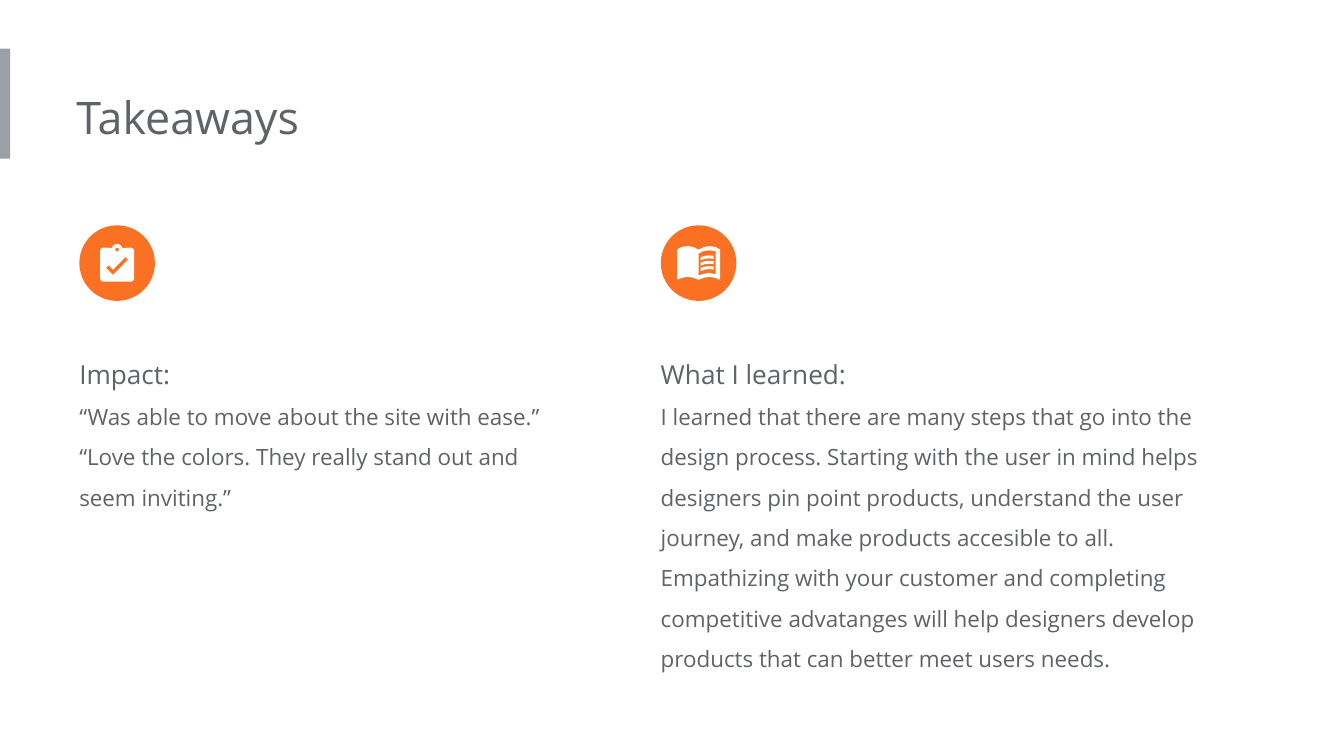
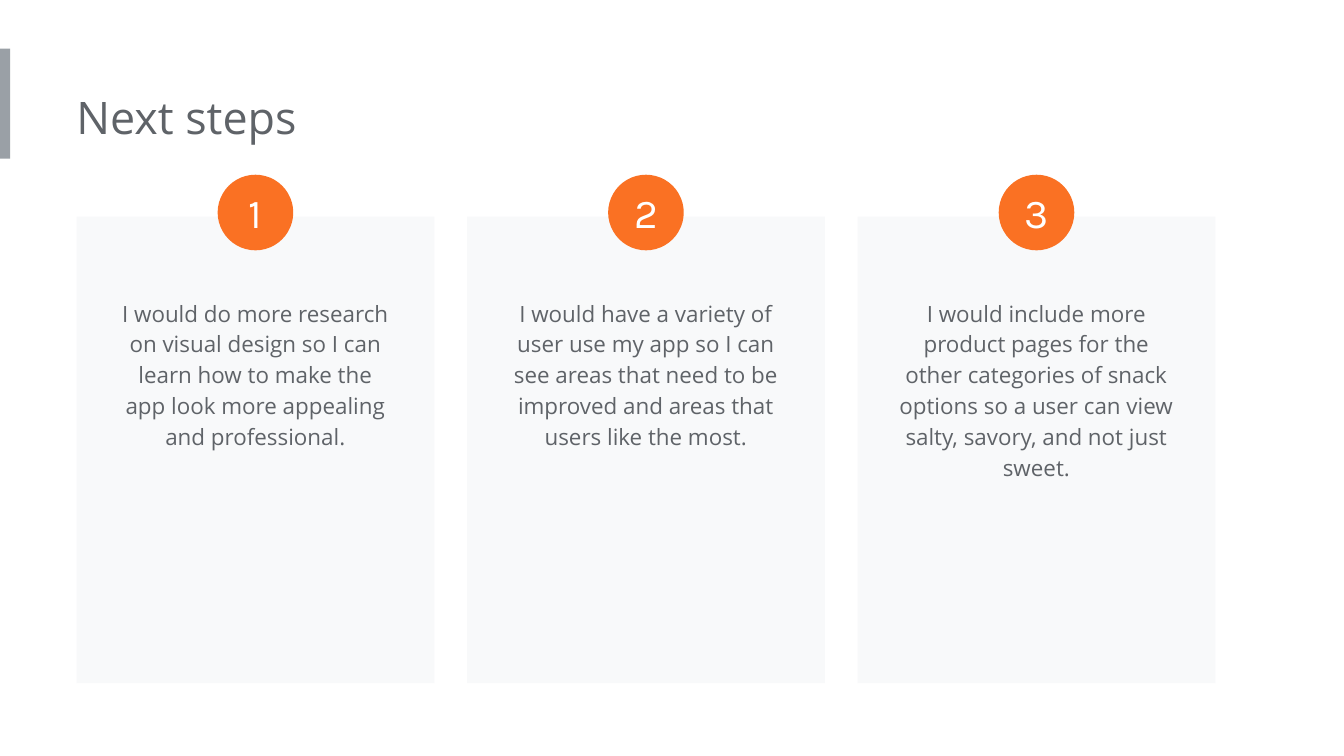
from math import cos, radians, sin

from pptx import Presentation
from pptx.dml.color import RGBColor
from pptx.enum.shapes import MSO_SHAPE
from pptx.enum.text import MSO_ANCHOR, MSO_AUTO_SIZE, PP_ALIGN
from pptx.util import Pt

RECTANGLE = MSO_SHAPE.RECTANGLE
OVAL = MSO_SHAPE.OVAL
CENTER = PP_ALIGN.CENTER
MIDDLE = MSO_ANCHOR.MIDDLE
NO_AUTOFIT = MSO_AUTO_SIZE.NONE
GROW = MSO_AUTO_SIZE.SHAPE_TO_FIT_TEXT

COLORS = {
    "accent": "FA7123",
    "band": "9AA0A6",
    "card": "F8F9FA",
    "text": "5F6368",
    "white": "FFFFFF",
}
TEXT_FONT = "Open Sans"
BADGE_FONT = "Karla"

BADGE_SIZE = 40.5
INSET = 7.2

CARD_LEFT, CARD_TOP = 41, 116
CARD_WIDTH, CARD_HEIGHT = 191.7, 250
CARD_PITCH = 209.2
CARD_TEXT_WIDTH = 161.3

TAKEAWAY_ICON_TOP, TAKEAWAY_TEXT_TOP = 120.7, 176.4

IMPACT = [
    ("Impact:", 14),
    ("“Was able to move about the site with ease.”", 12),
    ("“Love the colors. They really stand out and seem inviting.”", 12),
]
LEARNED = [
    ("What I learned:", 14),
    ("I learned that there are many steps that go into the design process. "
     "Starting with the user in mind helps designers pin point products, "
     "understand the user journey, and make products accesible to all. "
     "Empathizing with your customer and completing competitive advatanges "
     "will help designers develop products that can better meet users needs.", 12),
]
NEXT_STEPS = [
    ("I would do more research on visual design so I can learn how to make "
     "the app look more appealing and professional.", 98),
    ("I would have a variety of user use my app so I can see areas that need "
     "to be improved and areas that users like the most.", 98),
    ("I would include more product pages for the other categories of snack "
     "options so a user can view salty, savory, and not just sweet.", 115),
]


def rgb(name):
    return RGBColor.from_string(COLORS[name])


def set_all(target, values):
    for attribute, value in values.items():
        setattr(target, attribute, value)


def paint(shape, color):
    shape.shadow.inherit = False
    shape.fill.solid()
    shape.fill.fore_color.rgb = rgb(color)
    shape.line.fill.background()


def add_block(slide, kind, box, color):
    block = slide.shapes.add_shape(kind, *map(Pt, box))
    paint(block, color)
    return block


def write(frame, lines, frame_format, paragraph_format, font=TEXT_FONT, color="text"):
    """Fill a text frame with (text, size) paragraphs."""
    set_all(frame, {"word_wrap": True, **frame_format})
    for index, (text, size) in enumerate(lines):
        paragraph = frame.add_paragraph() if index else frame.paragraphs[0]
        set_all(paragraph, paragraph_format)
        run = paragraph.add_run()
        run.text = text
        set_all(run.font, {"name": font, "size": Pt(size)})
        run.font.color.rgb = rgb(color)


def add_text(slide, box, lines, left_inset=0, **paragraph_format):
    frame = slide.shapes.add_textbox(*map(Pt, box)).text_frame
    margins = {
        "margin_left": Pt(left_inset),
        "margin_top": Pt(INSET),
        "margin_right": Pt(INSET),
        "margin_bottom": Pt(INSET),
        "auto_size": GROW,
    }
    write(frame, lines, margins, paragraph_format)


def add_badge(slide, left, top, number=None):
    badge = add_block(slide, OVAL, (left, top, BADGE_SIZE, BADGE_SIZE), "accent")
    if number:
        margins = dict.fromkeys(
            ("margin_left", "margin_top", "margin_right", "margin_bottom"), 0)
        write(badge.text_frame, [(number, 22)],
              {**margins, "vertical_anchor": MIDDLE, "auto_size": NO_AUTOFIT},
              {"alignment": CENTER}, BADGE_FONT, "white")


def add_outline(slide, left, top, contours):
    """Draw closed contours as one white shape; inner contours become holes."""
    placed = [[(Pt(left + x), Pt(top + y)) for x, y in contour]
              for contour in contours]
    builder = slide.shapes.build_freeform(*placed[0][0], scale=1.0)
    for index, contour in enumerate(placed):
        if index:
            builder.move_to(*contour[0])
        builder.add_line_segments(contour[1:], close=True)
    paint(builder.convert_to_shape(), "white")


def arc(center_x, center_y, radius, start, end, steps=8):
    angles = [radians(start + (end - start) * i / steps) for i in range(steps + 1)]
    return [(center_x + radius * cos(a), center_y + radius * sin(a)) for a in angles]


def add_clipboard(slide, left, top):
    middle = BADGE_SIZE / 2
    board = (
        arc(13.1, 14, 2, 180, 270)
        + arc(middle, 12.8, 2.8, 195, 345)
        + arc(27.4, 14, 2, 270, 360)
        + arc(27.4, 28.2, 2, 0, 90)
        + arc(13.1, 28.2, 2, 90, 180)
    )
    clip_hole = arc(middle, 13, 1, 360, 0, 16)
    check = [(18.1, 26.6), (14.3, 22.8), (15.7, 21.4),
             (18.1, 23.8), (24.7, 17), (26.1, 18.4)]
    add_outline(slide, left, top, [board, clip_hole, check])


def add_book(slide, left, top):
    middle = BADGE_SIZE / 2
    half = [(middle, 13), (17.6, 11.7), (14.4, 11.1), (11.2, 11.6), (8.7, 13),
            (8.7, 28.6), (9.2, 29.1), (11.4, 28.1), (14.4, 27.6),
            (17.6, 28.1), (middle, 29.2)]
    mirrored = [(2 * middle - x, y) for x, y in reversed(half[1:-1])]
    page = [(middle, 15.1), (22.7, 13.9), (26, 13.4), (29.4, 13.9),
            (29.4, 26.2), (26, 25.5), (22.7, 26), (middle, 27)]
    add_outline(slide, left, top, [half + mirrored, page])
    text_line = [(21.3, 17.1), (23.4, 16.4), (26, 16.1), (28.3, 16.3),
                 (28.3, 18), (26, 17.7), (23.4, 18), (21.3, 18.8)]
    for row in range(3):
        add_outline(slide, left, top + row * 2.88, [text_line])


def add_titled_slide(presentation, title):
    slide = presentation.slides.add_slide(presentation.slide_layouts[6])
    add_block(slide, RECTANGLE, (0, 26, 5.5, 59), "band")
    add_text(slide, (41, 41, 388, 44), [(title, 24)])
    return slide


def add_takeaway(slide, left, width, height, lines, add_icon):
    add_text(slide, (left, TAKEAWAY_TEXT_TOP, width, height), lines, line_spacing=1.5)
    add_badge(slide, left, TAKEAWAY_ICON_TOP)
    add_icon(slide, left, TAKEAWAY_ICON_TOP)


def add_step(slide, index, step, text_height):
    left = CARD_LEFT + index * CARD_PITCH
    add_block(slide, RECTANGLE, (left, CARD_TOP, CARD_WIDTH, CARD_HEIGHT), "card")
    text_left = left + (CARD_WIDTH - CARD_TEXT_WIDTH) / 2
    add_text(slide, (text_left, 151.2, CARD_TEXT_WIDTH, text_height), [(step, 12)],
             INSET, alignment=CENTER, line_spacing=1.15)
    add_badge(slide, left + (CARD_WIDTH - BADGE_SIZE) / 2, 93.6, str(index + 1))


def main():
    presentation = Presentation()
    set_all(presentation, {"slide_width": Pt(720), "slide_height": Pt(405)})

    takeaways = add_titled_slide(presentation, "Takeaways")
    add_takeaway(takeaways, 42.5, 271.5, 105, IMPACT, add_clipboard)
    add_takeaway(takeaways, 354, 315.5, 193, LEARNED, add_book)

    next_steps = add_titled_slide(presentation, "Next steps")
    for index, (step, text_height) in enumerate(NEXT_STEPS):
        add_step(next_steps, index, step, text_height)

    presentation.save("out.pptx")


if __name__ == "__main__":
    main()
